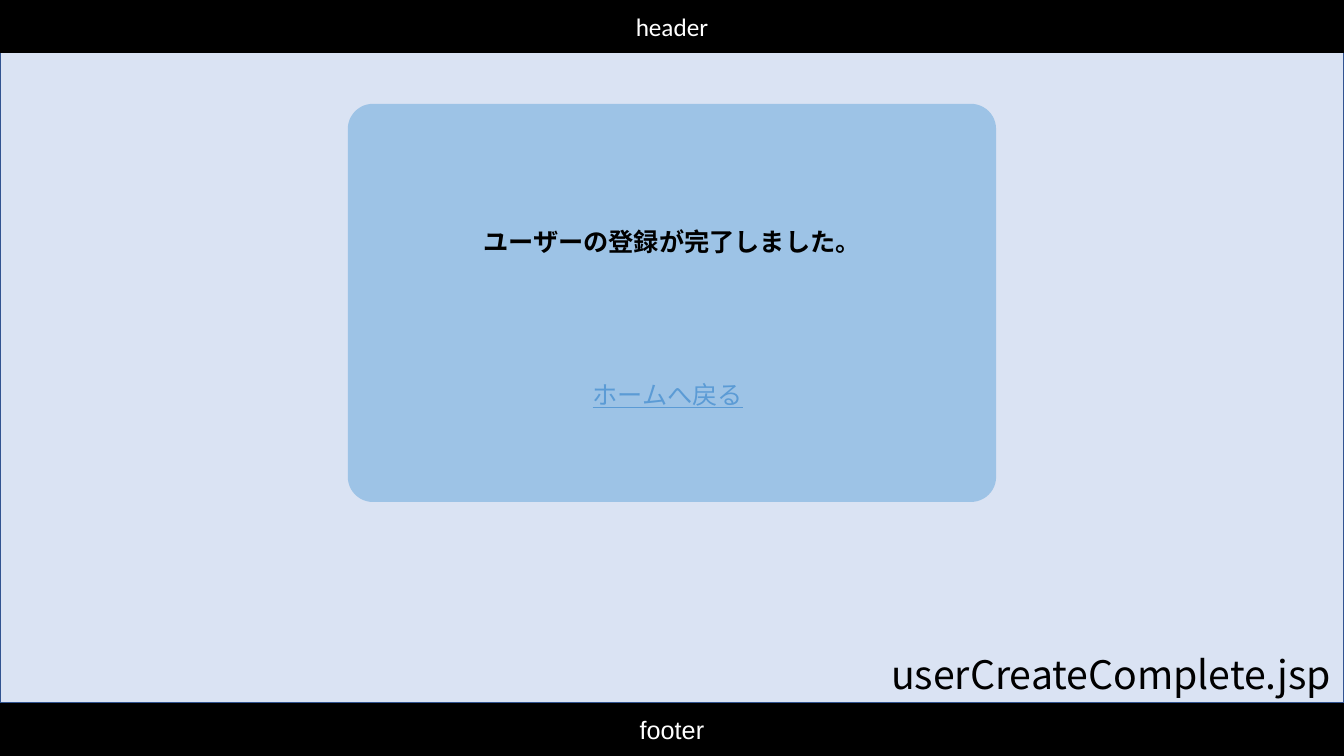
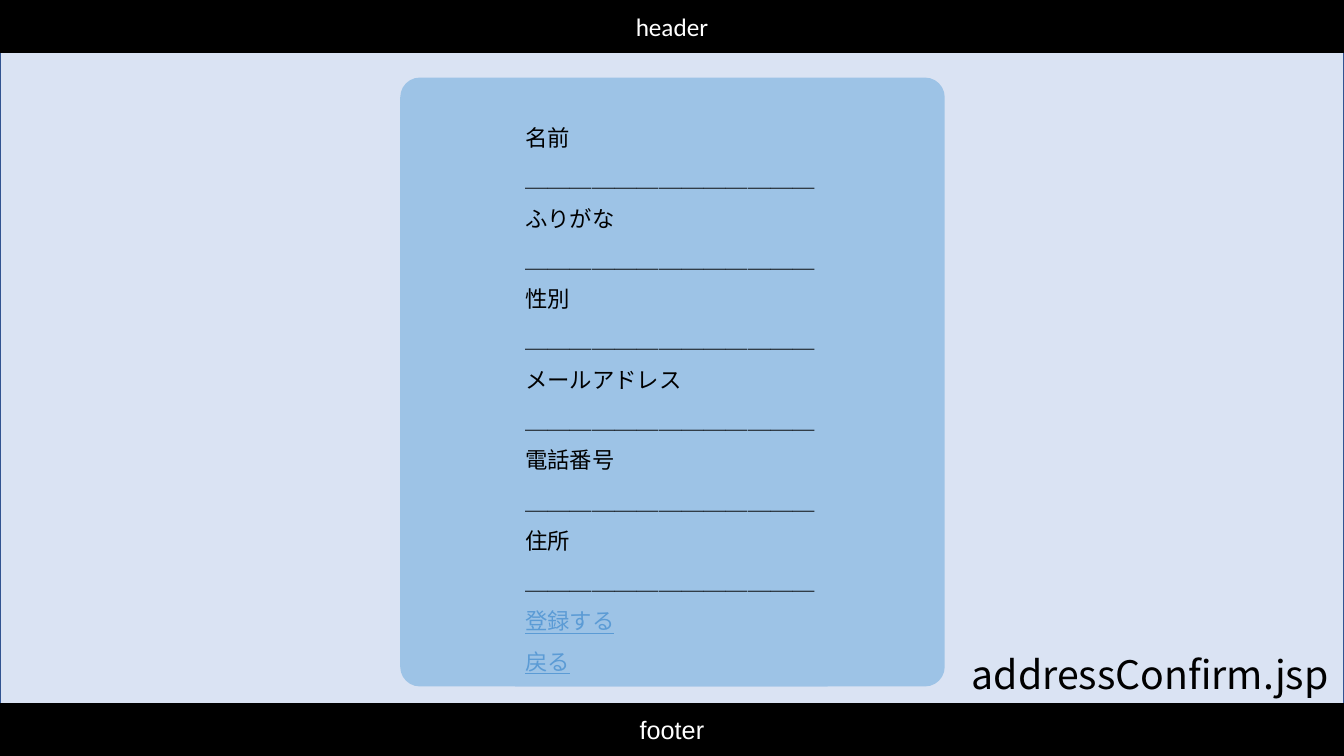
from dataclasses import dataclass

from lxml import etree
from pptx import Presentation
from pptx.dml.color import RGBColor
from pptx.enum.shapes import MSO_SHAPE
from pptx.enum.text import MSO_ANCHOR, PP_ALIGN
from pptx.oxml.ns import qn
from pptx.util import Inches, Pt

RECTANGLE = MSO_SHAPE.RECTANGLE
ROUNDED = MSO_SHAPE.ROUNDED_RECTANGLE
TOP, MIDDLE = MSO_ANCHOR.TOP, MSO_ANCHOR.MIDDLE
LEFT, CENTER = PP_ALIGN.LEFT, PP_ALIGN.CENTER

BLACK = RGBColor(0x00, 0x00, 0x00)
WHITE = RGBColor(0xFF, 0xFF, 0xFF)
BACKDROP = RGBColor(0xDA, 0xE3, 0xF3)
BACKDROP_LINE = RGBColor(0x32, 0x54, 0x91)
CARD = RGBColor(0x9D, 0xC3, 0xE6)
LINK = RGBColor(0x5B, 0x9B, 0xD5)

JAPANESE = "Noto Sans CJK JP"
WIDTH, HEIGHT, BAR_HEIGHT = 13.33, 7.5, 0.52
BLANK_LAYOUT = 6
FULLWIDTH_UNDERSCORE = "\uff3f"


@dataclass(frozen=True)
class Area:
    """A rectangle on the page, in inches."""
    left: float
    top: float
    width: float
    height: float

    def lengths(self):
        """Return the four values as lengths."""
        return [Inches(n) for n in (self.left, self.top, self.width, self.height)]


@dataclass(frozen=True)
class Bar:
    """A black bar across the page with its label."""
    label: str
    font: str
    top: float


BARS = (
    Bar("header", "Calibri", 0),
    Bar("footer", "Arial", HEIGHT - BAR_HEIGHT),
)


def add_box(page, area: Area, fill: RGBColor, *, kind=RECTANGLE,
            line: RGBColor | None = None, radius: float | None = None):
    """Add a filled shape, outlined only when a line colour is given."""
    box = page.shapes.add_shape(kind, *area.lengths())
    box.shadow.inherit = False
    box.fill.solid()
    box.fill.fore_color.rgb = fill
    if line is None:
        box.line.fill.background()
    else:
        box.line.color.rgb = line
        box.line.width = Pt(1)
    if radius is not None:
        box.adjustments[0] = radius
    return box


def write(box, text: str, *, size: float = 18, font: str = JAPANESE,
          color: RGBColor = BLACK, bold: bool = False, underline: bool = False,
          align=LEFT, anchor=TOP, wrap: bool = False,
          spacing: float | None = None, append: bool = False) -> None:
    """Write one formatted paragraph, after the existing ones if append is set."""
    frame = box.text_frame
    frame.word_wrap = wrap
    frame.vertical_anchor = anchor
    para = frame.add_paragraph() if append else frame.paragraphs[0]
    para.alignment = align
    if spacing is not None:
        para.line_spacing = spacing
    span = para.add_run()
    span.text = text
    span.font.size = Pt(size)
    span.font.name = font
    span.font.color.rgb = color
    span.font.bold = bold
    span.font.underline = underline
    east_asian = etree.Element(qn("a:ea"), typeface=font)
    span.font._element.find(qn("a:latin")).addnext(east_asian)


def add_text(page, area: Area, text: str, **style) -> None:
    """Add a text box holding one paragraph."""
    write(page.shapes.add_textbox(*area.lengths()), text, **style)


def add_page(deck, file_name: str, name_left: float, backdrop: Area):
    """Add a page with its backdrop, the shared bars and the file name."""
    page = deck.slides.add_slide(deck.slide_layouts[BLANK_LAYOUT])
    add_box(page, backdrop, BACKDROP, line=BACKDROP_LINE)
    for bar in BARS:
        box = add_box(page, Area(0, bar.top, WIDTH, BAR_HEIGHT), BLACK, line=BLACK)
        write(box, bar.label, font=bar.font, color=WHITE,
              align=CENTER, anchor=MIDDLE, wrap=True)
    add_text(page, Area(name_left, 6.4, WIDTH - name_left, 0.57), file_name, size=28)
    return page


def build_complete_page(deck) -> None:
    """Build the page that reports a finished registration."""
    page = add_page(deck, "userCreateComplete.jsp", 8.74, Area(0, 0.52, WIDTH, 6.45))
    add_box(page, Area(3.45, 1.03, 6.43, 3.95), CARD, kind=ROUNDED, radius=0.063)
    add_text(page, Area(3.3, 2.2, 6.73, 0.71), "ユーザーの登録が完了しました。",
             bold=True, align=CENTER, wrap=True)
    add_text(page, Area(5.78, 3.71, 1.77, 0.4), "ホームへ戻る",
             color=LINK, underline=True)


def build_confirm_page(deck) -> None:
    """Build the page that confirms the address fields."""
    page = add_page(deck, "addressConfirm.jsp", 9.54, Area(0, 0.37, WIDTH, 7.13))
    add_box(page, Area(3.97, 0.77, 5.4, 6.04), CARD, kind=ROUNDED, radius=0.036)
    form = add_box(page, Area(5.11, 1.05, 3.1, 5.76), CARD)
    fields = ("名前", "ふりがな", "性別", "メールアドレス", "電話番号", "住所")
    entry_line = FULLWIDTH_UNDERSCORE * 13
    for index, field in enumerate(fields):
        write(form, field, size=16, spacing=1.5, append=index > 0)
        write(form, entry_line, size=16, spacing=1.5, append=True)
    for action in ("登録する", "戻る"):
        write(form, action, size=16, spacing=1.5, color=LINK,
              underline=True, append=True)


def main() -> None:
    """Build and save the deck."""
    deck = Presentation()
    deck.slide_width, deck.slide_height = Inches(WIDTH), Inches(HEIGHT)
    build_complete_page(deck)
    build_confirm_page(deck)
    deck.save("out.pptx")


main()
